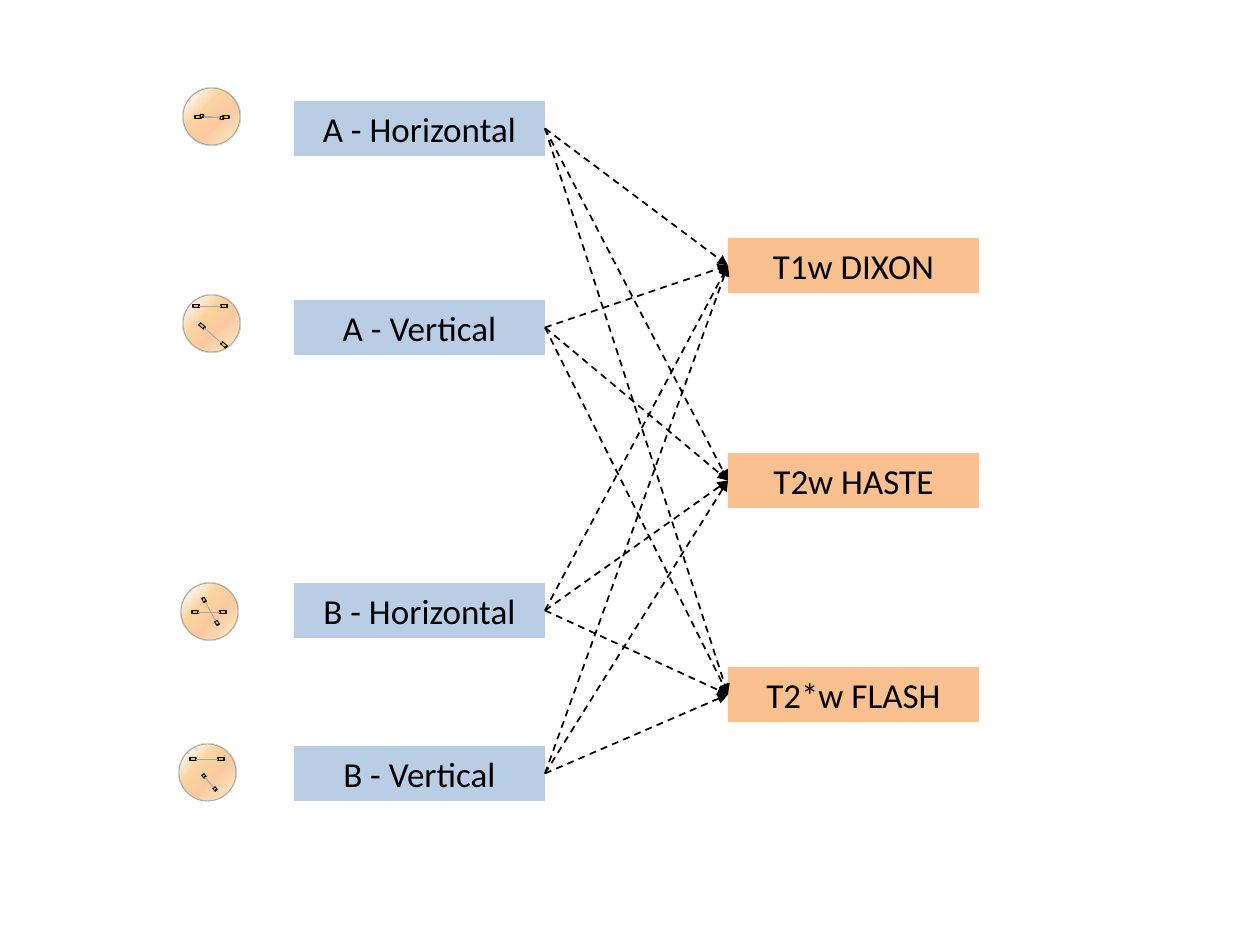
import math
from lxml import etree
from pptx import Presentation
from pptx.dml.color import RGBColor
from pptx.enum.dml import MSO_LINE
from pptx.enum.shapes import MSO_CONNECTOR, MSO_SHAPE
from pptx.enum.text import MSO_ANCHOR, PP_ALIGN
from pptx.oxml.ns import qn
from pptx.util import Pt

SCALE = 914400 / 126
RECT, OVAL = MSO_SHAPE.RECTANGLE, MSO_SHAPE.OVAL
STRAIGHT, DASH = MSO_CONNECTOR.STRAIGHT, MSO_LINE.DASH
MIDDLE, CENTER = MSO_ANCHOR.MIDDLE, PP_ALIGN.CENTER
RIGHT_SITE, LEFT_SITE = 3, 1

COLORS = {"layout": "B9CDE5", "sequence": "FAC090", "text": "000000",
          "arrow": "000000", "wire": "A6A6A6", "electrode": "FFC000"}
SKIN = [(0, "FCD5B5"), (18, "FDEBDC"), (36, "FAC476"),
        (61, "F9B37A"), (82, "FBD49C"), (100, "FDEADA")]
LABEL_FONT = {"name": "Calibri", "size": Pt(20)}
LABEL_FRAME = {"word_wrap": True, "vertical_anchor": MIDDLE}
LABEL_WIDTH, LABEL_HEIGHT, DISC_SIZE = 251, 55, 57
LAYOUT_LEFT, SEQUENCE_LEFT = 294, 728
ELECTRODE_HEIGHT, CAP_WIDTH = 3, 1

LAYOUTS = [
    ("A - Horizontal", 101, (183, 88),
     [((15, 29), (43, 29), 6), ((19, 28), (39, 30), 3)]),
    ("A - Vertical", 300, (183, 295),
     [((13, 11), (41, 11), 6), ((19, 31), (41, 50), 6)]),
    ("B - Horizontal", 583, (181, 583),
     [((14, 29), (42, 29), 6), ((23, 17), (36, 40), 4)]),
    ("B - Vertical", 746, (179, 744),
     [((14, 15), (42, 15), 6), ((25, 32), (36, 45), 3)]),
]
SEQUENCES = [("T1w DIXON", 238), ("T2w HASTE", 453), ("T2*w FLASH", 667)]


def px(value):
    return round(value * SCALE)


def color(name):
    return RGBColor.from_string(COLORS[name])


def apply(target, formats):
    for name, value in formats.items():
        setattr(target, name, value)


def add_box(shapes, kind, box, fill=None, line=None):
    shape = shapes.add_shape(kind, *map(px, box))
    shape.shadow.inherit = False
    if fill:
        shape.fill.solid()
        shape.fill.fore_color.rgb = color(fill)
    if line:
        shape.line.color.rgb = color(line)
        shape.line.width = Pt(0.5)
    else:
        shape.line.fill.background()
    return shape


def add_line(shapes, start, end, name, width):
    line = shapes.add_connector(STRAIGHT, *map(px, (*start, *end)))
    line.line.color.rgb = color(name)
    line.line.width = Pt(width)
    etree.SubElement(line._element.spPr, qn("a:effectLst"))
    return line


def add_label(page, text, left, top, fill):
    label = add_box(page.shapes, RECT, (left, top, LABEL_WIDTH, LABEL_HEIGHT), fill)
    frame = label.text_frame
    apply(frame, LABEL_FRAME)
    para = frame.paragraphs[0]
    para.alignment = CENTER
    span = para.add_run()
    span.text = text
    apply(span.font, LABEL_FONT)
    span.font.color.rgb = color("text")
    return label


def add_arrow(page, source, target):
    arrow = add_line(page.shapes, (0, 0), (0, 0), "arrow", 1)
    arrow.begin_connect(source, RIGHT_SITE)
    arrow.end_connect(target, LEFT_SITE)
    arrow.line.dash_style = DASH
    outline = arrow.line._get_or_add_ln()
    etree.SubElement(outline, qn("a:tailEnd"), type="triangle")


def fill_skin(shape):
    shape.fill.gradient()
    gradient = shape._element.spPr.find(qn("a:gradFill"))
    for child in list(gradient):
        gradient.remove(child)
    stops = etree.SubElement(gradient, qn("a:gsLst"))
    for position, value in SKIN:
        stop = etree.SubElement(stops, qn("a:gs"), pos=str(position * 1000))
        tone = etree.SubElement(stop, qn("a:srgbClr"), val=value)
        etree.SubElement(tone, qn("a:alpha"), val="70000")
    route = etree.SubElement(gradient, qn("a:path"))
    route.set("path", "circle")
    etree.SubElement(route, qn("a:fillToRect"), r="100000", b="100000")


def add_electrode_pair(shapes, first, second, length):
    angle = math.atan2(second[1] - first[1], second[0] - first[0])

    def along(point, distance):
        return (point[0] + distance * math.cos(angle),
                point[1] + distance * math.sin(angle))

    half = length / 2
    for center in (first, second):
        for kind, offset, width in ((OVAL, -half, CAP_WIDTH), (RECT, 0, length),
                                    (OVAL, half, CAP_WIDTH)):
            x, y = along(center, offset)
            box = (x - width / 2, y - ELECTRODE_HEIGHT / 2, width, ELECTRODE_HEIGHT)
            part = add_box(shapes, kind, box, "electrode", "arrow")
            part.rotation = math.degrees(angle)
    add_line(shapes, along(first, half), along(second, -half), "wire", 0.5)


def add_disc(page, left, top, pairs):
    disc = add_box(page.shapes, OVAL, (left, top, DISC_SIZE, DISC_SIZE), line="wire")
    fill_skin(disc)
    group = page.shapes.add_group_shape()
    for first, second, length in pairs:
        ends = [(left + x, top + y) for x, y in (first, second)]
        add_electrode_pair(group.shapes, *ends, length)


def build_page(deck):
    page = deck.slides.add_slide(deck.slide_layouts[6])
    sources = [add_label(page, text, LAYOUT_LEFT, top, "layout")
               for text, top, corner, pairs in LAYOUTS]
    targets = [add_label(page, text, SEQUENCE_LEFT, top, "sequence")
               for text, top in SEQUENCES]
    for source in sources:
        for target in targets:
            add_arrow(page, source, target)
    for text, top, corner, pairs in LAYOUTS:
        add_disc(page, *corner, pairs)


deck = Presentation()
deck.slide_width, deck.slide_height = px(1260), px(945)
build_page(deck)
deck.save("out.pptx")
